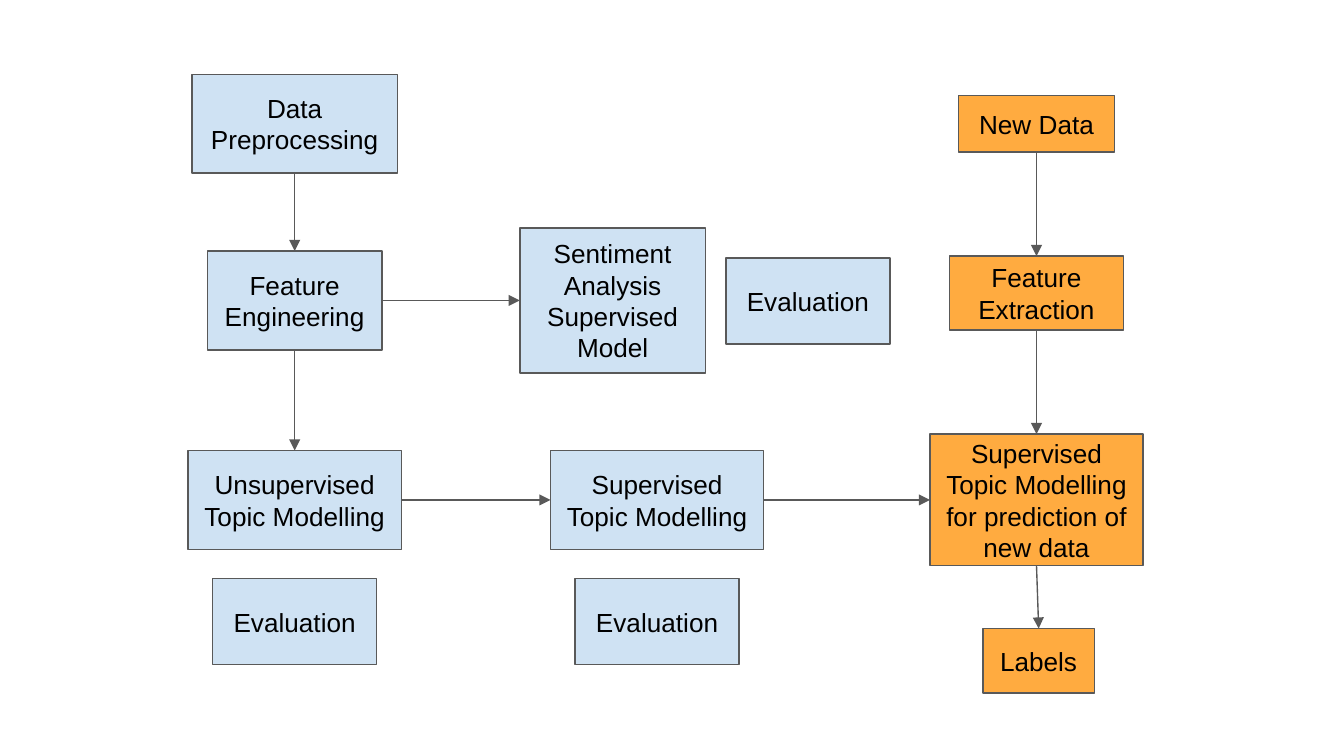
from pptx import Presentation
from pptx import util as u
from pptx.dml.color import RGBColor
from pptx.enum import shapes, text
from pptx.oxml import parse_xml
from pptx.oxml.ns import nsdecls

BLUE, AMBER, GREY, BLACK = "CFE2F3", "FFAB40", "595959", "000000"
TOP, LEFT, BOTTOM, RIGHT = range(4)  # connection sites of a rectangle


def color(hex):
    """Turn a hex string into a colour."""
    return RGBColor.from_string(hex)


def write(shape, words, size=14, font="Arial", ink=BLACK):
    """Put centred text in a shape, one paragraph for each line."""
    frame = shape.text_frame
    frame.word_wrap = True
    frame.vertical_anchor = text.MSO_ANCHOR.MIDDLE
    frame.margin_left = frame.margin_right = u.Cm(0.25)
    frame.margin_top = frame.margin_bottom = u.Cm(0.25)
    frame.text = words
    for para in frame.paragraphs:
        para.alignment = text.PP_ALIGN.CENTER
        for run in para.runs:
            run.font.size = u.Pt(size)
            run.font.name = font
            run.font.color.rgb = color(ink)


def node(slide, words, x, y, size, fill):
    """Draw a labelled rectangle centred on x, y."""
    wide, high = size
    box = slide.shapes.add_shape(
        shapes.MSO_SHAPE.RECTANGLE, u.Cm(x - wide / 2), u.Cm(y - high / 2),
        u.Cm(wide), u.Cm(high))
    box.shadow.inherit = False
    box.fill.solid()
    box.fill.fore_color.rgb = color(fill)
    box.line.color.rgb = color(GREY)
    box.line.width = u.Pt(0.75)
    write(box, words)
    return box


def arrow(slide, start, end, out=BOTTOM, into=TOP):
    """Join two nodes with an arrow glued to their sides."""
    line = slide.shapes.add_connector(shapes.MSO_CONNECTOR.STRAIGHT, 0, 0, 0, 0)
    line.begin_connect(start, out)
    line.end_connect(end, into)
    line.line.color.rgb = color(GREY)
    line.line.width = u.Pt(0.75)
    line.line._get_or_add_ln().append(
        parse_xml(f'<a:tailEnd {nsdecls("a")} type="triangle"/>'))
    line._element.spPr.append(parse_xml(f'<a:effectLst {nsdecls("a")}/>'))


def train(slide, left, top):
    """Draw the training flow and return its last model."""
    def add(words, x, y, size):
        """Add a blue node relative to the region."""
        return node(slide, words, left + x, top + y, size, BLUE)

    first, second = 2.01, 8.86
    topic, check = (4.03, 1.87), (3.1, 1.63)
    prep = add("Data Preprocessing", first, 0.94, (3.88, 1.87))
    feature = add("Feature Engineering", first, 4.28, (3.3, 1.87))
    mood = add("Sentiment\nAnalysis Supervised Model", 8.02, 4.28, (3.51, 2.74))
    free = add("Unsupervised Topic Modelling", first, 8.05, topic)
    model = add("Supervised Topic Modelling", second, 8.05, topic)
    for x, y in ((first, 10.35), (second, 10.35), (11.71, 4.29)):
        add("Evaluation", x, y, check)
    arrow(slide, prep, feature)
    arrow(slide, feature, free)
    arrow(slide, feature, mood, RIGHT, LEFT)
    arrow(slide, free, model, RIGHT, LEFT)
    return model


def predict(slide, left, top):
    """Draw the prediction flow downwards and return its model."""
    steps = (
        ("New Data", 2.01, 0.54, (2.95, 1.07)),
        ("Feature Extraction", 2.01, 3.74, (3.3, 1.4)),
        ("Supervised Topic Modelling for prediction of new data",
         2.01, 7.65, (4.03, 2.49)),
        ("Labels", 2.05, 10.69, (2.11, 1.22)),
    )
    chain = [node(slide, words, left + x, top + y, size, AMBER)
             for words, x, y, size in steps]
    for start, end in zip(chain, chain[1:]):
        arrow(slide, start, end)
    return chain[2]


def main():
    """Build the flow chart slide and save it."""
    deck = Presentation()
    deck.slide_width, deck.slide_height = u.Cm(25.4), u.Cm(14.29)
    slide = deck.slides.add_slide(deck.slide_layouts.get_by_name("Blank"))
    model = train(slide, 3.56, 1.4)
    target = predict(slide, 17.58, 1.8)
    arrow(slide, model, target, RIGHT, LEFT)
    deck.save("out.pptx")


main()
